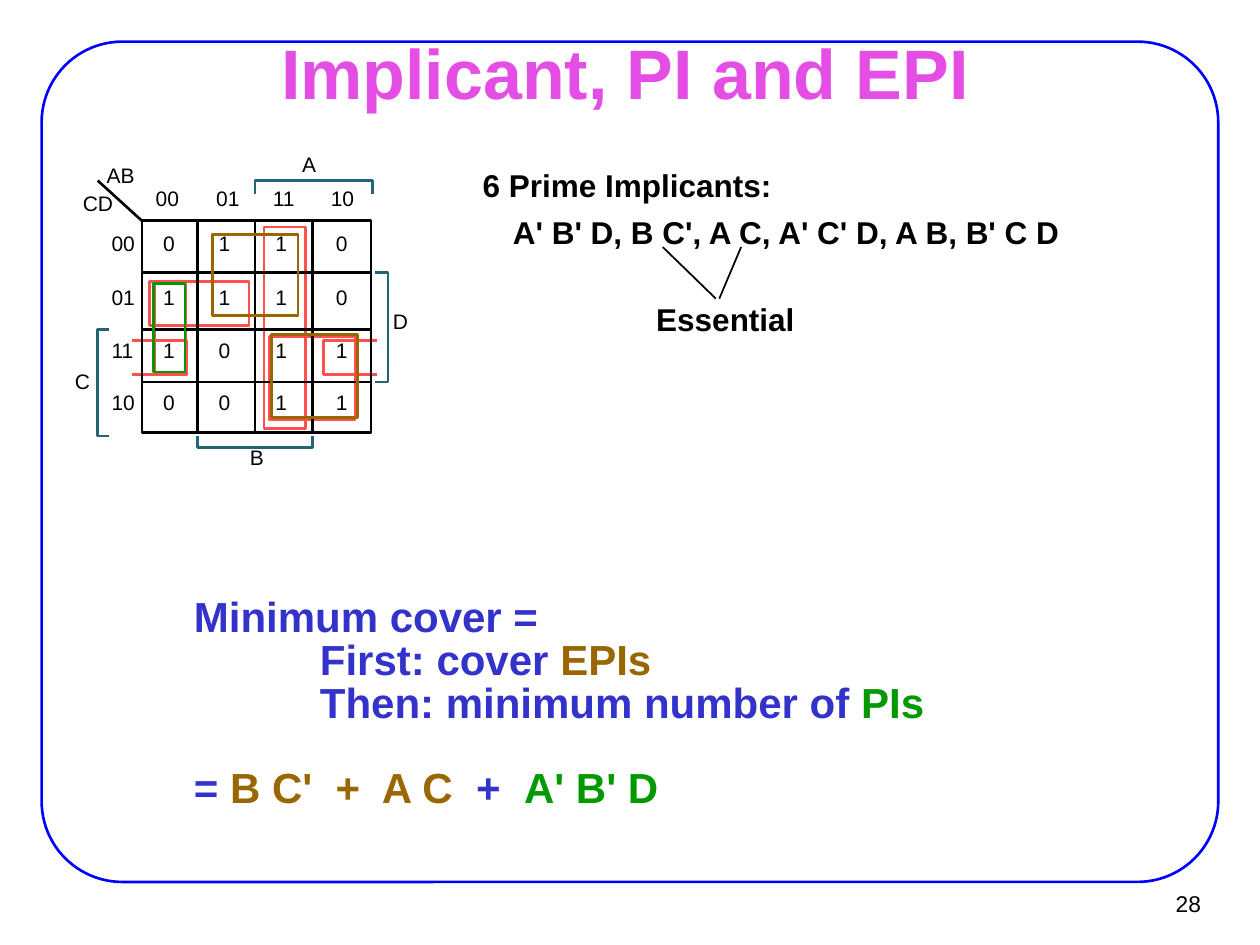
from lxml.etree import SubElement
from pptx import Presentation
from pptx.dml.color import RGBColor
from pptx.enum.shapes import MSO_CONNECTOR, MSO_SHAPE
from pptx.enum.text import MSO_ANCHOR, PP_ALIGN
from pptx.oxml.ns import qn
from pptx.util import Cm, Pt

BLACK, BLUE, PINK = "000000", "3333CC", "E44EE4"
RED, BROWN, GREEN, TEAL = "FF5050", "996600", "009900", "226577"
FRAME_BLUE = "0000FF"


def color(hex_code):
    return RGBColor.from_string(hex_code)


def style_outline(shape, hex_code):
    shape.shadow.inherit = False
    shape.fill.background()
    shape.line.color.rgb = color(hex_code)
    shape.line.width = Pt(1.5)


def add_outline(page, left, top, width, height, hex_code, preset=MSO_SHAPE.RECTANGLE):
    shape = page.shapes.add_shape(preset, Cm(left), Cm(top), Cm(width), Cm(height))
    style_outline(shape, hex_code)
    return shape


def add_line(page, x1, y1, x2, y2, weight=1.5):
    line = page.shapes.add_connector(
        MSO_CONNECTOR.STRAIGHT, Cm(x1), Cm(y1), Cm(x2), Cm(y2))
    line.line.color.rgb = color(BLACK)
    line.line.width = Pt(weight)
    SubElement(line._element.spPr, qn("a:effectLst"))


def add_bracket(page, left, top, right, bottom, open_side, hex_code):
    """Draw three sides of a rectangle, leaving open_side undrawn."""
    corners = [(left, top), (right, top), (right, bottom), (left, bottom)]
    first = ("left", "top", "right", "bottom").index(open_side)
    points = [(Cm(x), Cm(y)) for x, y in corners[first:] + corners[:first]]
    builder = page.shapes.build_freeform(*points[0])
    builder.add_line_segments(points[1:], close=False)
    style_outline(builder.convert_to_shape(), hex_code)


def add_text(page, left, top, width, height, lines, size, bold=False,
             inset=(0.18, 0.08), spacing=None, align=PP_ALIGN.LEFT, wrap=False):
    """Write lines, each a list of (text, colour) spans, and return the frame."""
    box = page.shapes.add_textbox(Cm(left), Cm(top), Cm(width), Cm(height))
    frame = box.text_frame
    frame.word_wrap = wrap
    frame.margin_left = frame.margin_right = Cm(inset[0])
    frame.margin_top = frame.margin_bottom = Cm(inset[1])
    for index, spans in enumerate(lines):
        para = frame.add_paragraph() if index else frame.paragraphs[0]
        para.alignment = align
        if spacing:
            para.line_spacing = spacing
        for text, hex_code in spans:
            span = para.add_run()
            span.text = text
            span.font.name = "Arial"
            span.font.size = Pt(size)
            span.font.bold = bold
            span.font.color.rgb = color(hex_code)
    return frame


def add_tab_stop(para, position):
    tabs = SubElement(para._p.get_or_add_pPr(), qn("a:tabLst"))
    SubElement(tabs, qn("a:tab"), pos=str(Cm(position)), algn="l")


def add_page_frame(page, left, top, width, height):
    frame = add_outline(page, left, top, width, height, FRAME_BLUE,
                        MSO_SHAPE.ROUNDED_RECTANGLE)
    frame.adjustments[0] = 0.096
    number = add_text(page, left + 22.07, top + 16.91, 1.53, 0.94, [[("28", BLACK)]], 13,
                      inset=(0.23, 0.1), align=PP_ALIGN.RIGHT)
    number.vertical_anchor = MSO_ANCHOR.MIDDLE


def add_karnaugh_map(page, left, top, width, height):
    """Draw the map; the box is the grid, with labels and brackets around it."""

    def label(text, x, y):
        add_text(page, left + x, top + y, 0.35 * len(text), 0.5,
                 [[(text, BLACK)]], 12, inset=(0, 0))

    def loop(x, y, loop_width, loop_height, hex_code):
        add_outline(page, left + x, top + y, loop_width, loop_height, hex_code)

    def bracket(x1, y1, x2, y2, open_side, hex_code):
        add_bracket(page, left + x1, top + y1, left + x2, top + y2, open_side, hex_code)

    column_lines = (1.12, 2.28, 3.44)
    row_lines = (1.04, 2.19, 3.25)
    column_texts = (0.43, 1.55, 2.69, 3.91)
    header_texts = (0.28, 1.5, 2.64, 3.81)
    row_texts = (0.2, 1.28, 2.36, 3.4)
    codes = ("00", "01", "11", "10")
    values = ("0110", "1110", "1011", "0011")

    for red_loop in ((1.42, 0.28, 1.73, 1.63), (2.46, 0.13, 0.84, 4.06),
                     (0.25, 1.27, 0.64, 1.8), (0.15, 1.22, 2.01, 0.89),
                     (2.57, 2.34, 1.73, 1.68)):
        loop(*red_loop, RED)
    bracket(-0.2, 2.41, 0.91, 3.1, "left", RED)
    bracket(3.66, 2.41, 4.75, 3.1, "right", RED)

    add_outline(page, left, top, width, height, BLACK)
    for y in row_lines:
        add_line(page, left, top + y, left + width, top + y)
    for x in column_lines:
        add_line(page, left + x, top, left + x, top + height)
    add_line(page, left, top, left - 0.89, top - 0.81)

    for code, x in zip(codes, header_texts):
        label(code, x, -0.71)
    for code, row, y in zip(codes, values, row_texts):
        label(code, -0.61, y)
        for value, x in zip(row, column_texts):
            label(value, x, y)

    bracket(column_lines[1], -0.81, 4.65, -0.53, "bottom", TEAL)
    bracket(-0.89, row_lines[1], -0.66, 4.34, "right", TEAL)
    bracket(column_lines[0], 4.34, column_lines[2], 4.57, "top", TEAL)
    bracket(4.7, row_lines[0], 4.96, row_lines[2], "left", TEAL)
    for name, x, y in (("AB", -0.71, -1.17), ("CD", -1.19, -0.6), ("A", 3.23, -1.4),
                       ("B", 2.18, 4.52), ("C", -1.35, 2.98), ("D", 5.06, 1.78)):
        label(name, x, y)

    loop(1.42, 0.28, 1.73, 1.63, BROWN)
    loop(2.62, 2.29, 1.73, 1.68, BROWN)
    loop(0.23, 1.27, 0.64, 1.78, GREEN)


def add_prime_implicants(page, left, top):
    for text, x, y, width in (
            ("6 Prime Implicants:", 0, 0, 6.6),
            ("A' B' D, B C', A C, A' C' D, A B, B' C D", 0.61, 0.96, 11.6),
            ("Essential", 3.5, 2.7, 3.3)):
        add_text(page, left + x, top + y, width, 0.79, [[(text, BLACK)]], 18,
                 bold=True, spacing=0.85)
    add_line(page, left + 4.95, top + 2.64, left + 5.39, top + 1.6, weight=1)
    add_line(page, left + 4.88, top + 2.64, left + 3.81, top + 1.6, weight=1)


def add_minimum_cover(page, left, top, width, height):
    lines = [
        [("Minimum cover =", BLUE)],
        [("\tFirst: cover ", BLUE), ("EPIs", BROWN)],
        [("\tThen: minimum number of ", BLUE), ("PIs", GREEN)],
        [("= ", BLUE), ("B C'  +  A C", BROWN), ("  +  ", BLUE), ("A' B' D", GREEN)],
    ]
    frame = add_text(page, left, top, width, height, lines, 24, bold=True,
                     spacing=0.85, wrap=True)
    for para in frame.paragraphs[1:3]:
        add_tab_stop(para, 2.54)
    frame.paragraphs[-1].space_before = Pt(24)


def main():
    deck = Presentation()
    deck.slide_width, deck.slide_height = Cm(25.4), Cm(19.05)
    page = deck.slides.add_slide(deck.slide_layouts[6])
    add_page_frame(page, 0.84, 0.84, 23.72, 16.94)
    add_text(page, 5.1, 0.51, 15, 1.83, [[("Implicant, PI and EPI", PINK)]], 40,
             bold=True, align=PP_ALIGN.CENTER, wrap=True)
    add_prime_implicants(page, 9.55, 3.38)
    add_minimum_cover(page, 3.73, 11.99, 19.58, 4.47)
    add_karnaugh_map(page, 2.86, 4.45, 4.62, 4.27)
    deck.save("out.pptx")


if __name__ == "__main__":
    main()
